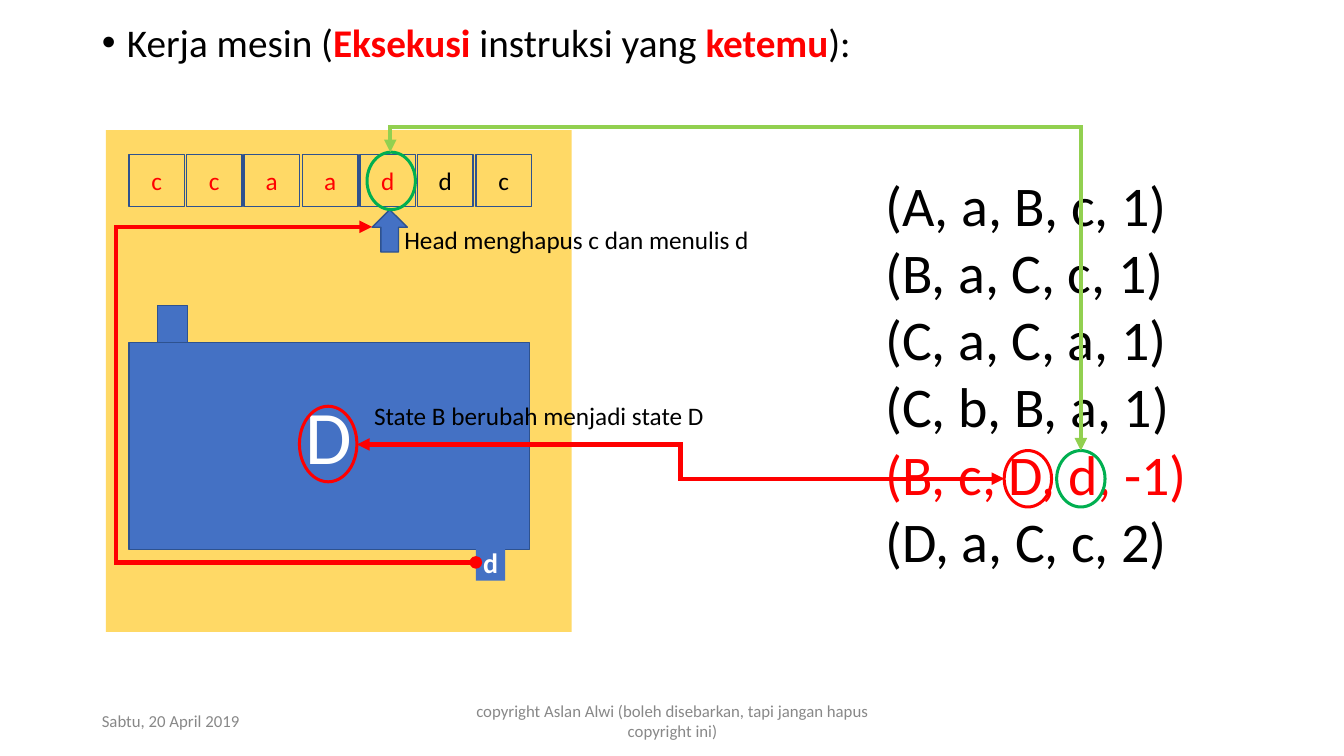
from lxml import etree
from pptx import Presentation
from pptx import util as u
from pptx.dml.color import RGBColor
from pptx.enum import shapes, text
from pptx.oxml import ns

PX = 9144  # 100 px to the inch

YELLOW = RGBColor(0xFF, 0xD9, 0x66)
BLUE = RGBColor(0x44, 0x71, 0xC4)
NAVY = RGBColor(0x2E, 0x52, 0x8F)
RED = RGBColor(0xFF, 0x00, 0x00)
GREEN = RGBColor(0x00, 0xAF, 0x50)
LIME = RGBColor(0x92, 0xD0, 0x50)
BLACK = RGBColor(0x00, 0x00, 0x00)
WHITE = RGBColor(0xFF, 0xFF, 0xFF)
GREY = RGBColor(0x88, 0x88, 0x88)

KIND = shapes.MSO_SHAPE
LEFT, CENTER = text.PP_ALIGN.LEFT, text.PP_ALIGN.CENTER

presentation = Presentation()
presentation.slide_width = 1333 * PX
presentation.slide_height = 750 * PX
slide = presentation.slides.add_slide(presentation.slide_layouts[6])


def add_shape(kind, box, fill=None, line=None, width=0.96):
    shape = slide.shapes.add_shape(kind, *(n * PX for n in box))
    shape.shadow.inherit = False
    if fill is None:
        shape.fill.background()
    else:
        shape.fill.solid()
        shape.fill.fore_color.rgb = fill
    if line is None:
        shape.line.fill.background()
    else:
        shape.line.color.rgb = line
        shape.line.width = u.Pt(width)
    return shape


def write(shape, paragraphs, size, color, align=LEFT, anchor=text.MSO_ANCHOR.TOP, bold=False):
    """Each paragraph is a list of (text, format changes) runs."""
    frame = shape.text_frame
    frame_format = {"margin_left": 0, "margin_top": 0, "margin_right": 0,
                    "margin_bottom": 0, "word_wrap": True, "vertical_anchor": anchor}
    for name, value in frame_format.items():
        setattr(frame, name, value)
    for index, runs in enumerate(paragraphs):
        paragraph = frame.add_paragraph() if index else frame.paragraphs[0]
        paragraph.alignment = align
        for words, changes in runs:
            run = paragraph.add_run()
            run.text = words
            run_format = {"name": "Calibri", "size": u.Pt(size), "bold": bold,
                          "color": color, **changes}
            run.font.color.rgb = run_format.pop("color")
            for name, value in run_format.items():
                setattr(run.font, name, value)
    return frame


# Yellow machine background
add_shape(KIND.RECTANGLE, (105, 129, 462, 498), YELLOW)

# Tape: seven cells, the visited ones in red
for index, symbol in enumerate("ccaaddc"):
    cell = add_shape(KIND.RECTANGLE, (128 + index * 172 // 3, 153, 55, 52), YELLOW, NAVY)
    write(cell, [[(symbol, {})]], 18, RED if index < 5 else BLACK, CENTER,
          text.MSO_ANCHOR.MIDDLE)

# Head and machine body
add_shape(KIND.UP_ARROW, (369, 208, 35, 42), BLUE, NAVY)
add_shape(KIND.RECTANGLE, (128, 340, 397, 205), BLUE, NAVY)
add_shape(KIND.RECTANGLE, (156, 303, 30, 37), BLUE, NAVY)
output_box = add_shape(KIND.RECTANGLE, (472, 539, 29, 37), BLUE)
write(output_box, [[("d", {})]], 20, WHITE, CENTER, text.MSO_ANCHOR.MIDDLE, bold=True)

# Plain texts
emphasis = {"color": RED, "bold": True}
instructions = ["(A, a, B, c, 1)", "(B, a, C, c, 1)", "(C, a, C, a, 1)",
                "(C, b, B, a, 1)", "(B, c, D, d, -1)", "(D, a, C, c, 2)"]
executed = 4
title = [("Kerja mesin (", {}), ("Eksekusi ", emphasis), ("instruksi yang ", {}),
         ("ketemu", emphasis), ("):", {})]
program = [[(line, {"color": RED} if index == executed else {})]
           for index, line in enumerate(instructions)]
footer = [[("copyright Aslan Alwi (boleh disebarkan, tapi jangan hapus", {})],
          [("copyright ini)", {})]]
texts = [
    ((100, 18, 780, 48), [title], 28, BLACK, LEFT),
    ((878, 169, 310, 403), program, 40, BLACK, LEFT),
    ((303, 386, 52, 92), [[("D", {})]], 54, WHITE, LEFT),
    ((401, 223, 365, 31), [[("Head menghapus c dan menulis d", {})]], 18, BLACK, LEFT),
    ((371, 397, 345, 31), [[("State B berubah menjadi state D", {})]], 18, BLACK, LEFT),
    ((461, 695, 412, 40), footer, 12, GREY, CENTER),
    ((101, 705, 160, 20), [[("Sabtu, 20 April 2019", {})]], 12, GREY, LEFT),
]
frames = []
for box, paragraphs, size, color, align in texts:
    text_box = slide.shapes.add_textbox(*(n * PX for n in box))
    frames.append(write(text_box, paragraphs, size, color, align))

# Bullet of the title
properties = frames[0].paragraphs[0]._p.get_or_add_pPr()
properties.set("marL", str(26 * PX))
properties.set("indent", str(-25 * PX))
etree.SubElement(properties, ns.qn("a:buFont"), typeface="Arial")
etree.SubElement(properties, ns.qn("a:buChar"), char="•")

# Rings around the linked symbols
for box, color in [((364, 151, 48, 57), GREEN), ((297, 403, 57, 75), RED),
                   ((996, 447, 47, 56), RED), ((1048, 447, 48, 56), GREEN)]:
    add_shape(KIND.OVAL, box, None, color, 2.16)

# Routes: written symbol to head, and instruction symbol to tape
routes = []
for points, color, start_end in [
    ([(472, 558), (115, 558), (115, 225), (369, 225)], RED, "oval"),
    ([(1072, 447), (1072, 126), (387, 126), (387, 151)], LIME, "triangle"),
]:
    builder = slide.shapes.build_freeform(*points[0], scale=PX)
    builder.add_line_segments(points[1:], close=False)
    route = builder.convert_to_shape()
    route.shadow.inherit = False
    route.fill.background()
    routes.append((route, color, start_end))

# New state: instruction to machine
state_link = slide.shapes.add_connector(
    shapes.MSO_CONNECTOR.ELBOW, 996 * PX, 475 * PX, 354 * PX, 441 * PX)
etree.SubElement(state_link._element.spPr, ns.qn("a:effectLst"))
routes.append((state_link, RED, "triangle"))

for route, color, start_end in routes:
    route.line.color.rgb = color
    route.line.width = u.Pt(3)
    outline = route.line._get_or_add_ln()
    etree.SubElement(outline, ns.qn("a:miter"), lim="800000")
    etree.SubElement(outline, ns.qn("a:headEnd"), type=start_end)
    etree.SubElement(outline, ns.qn("a:tailEnd"), type="triangle")

presentation.save("out.pptx")
